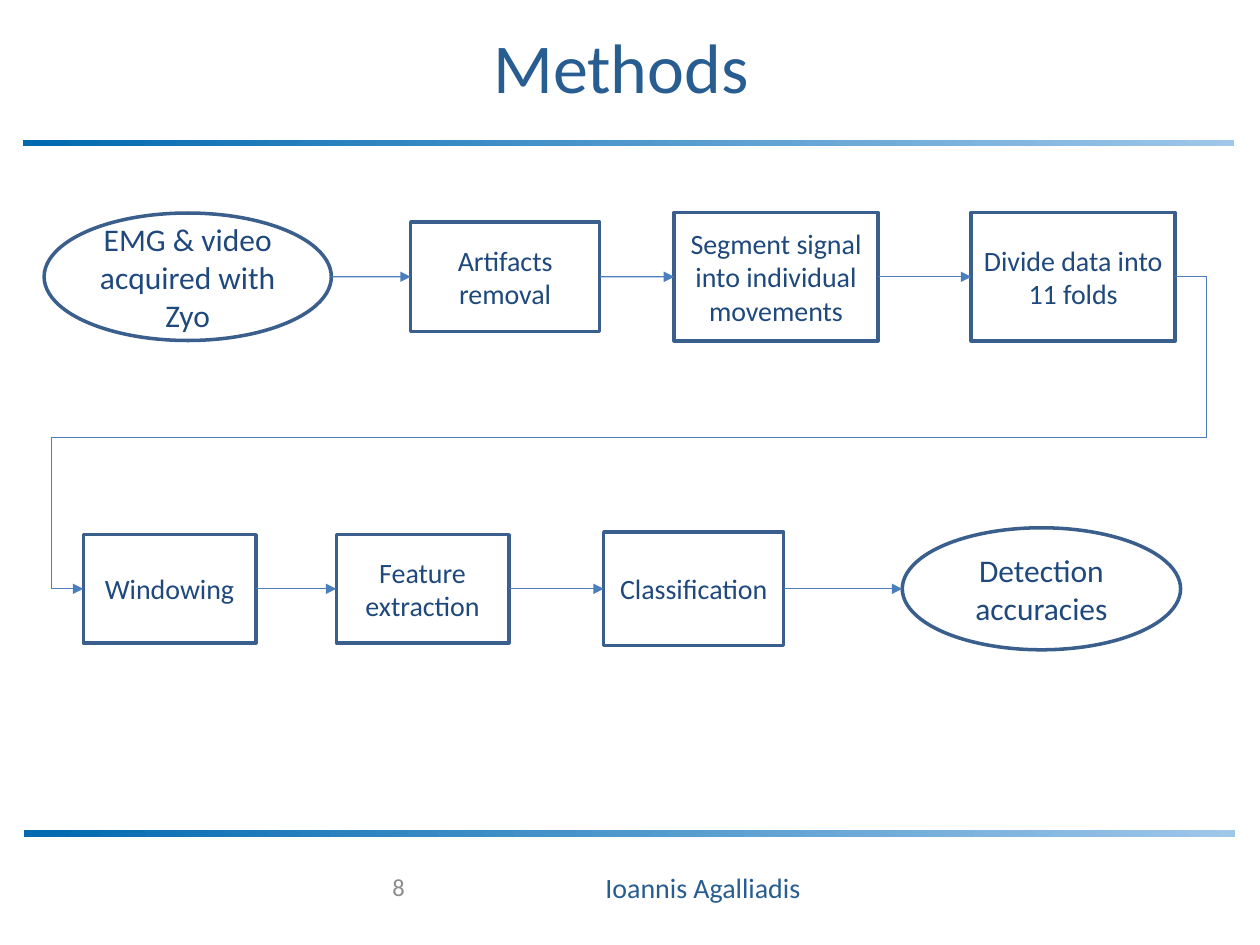
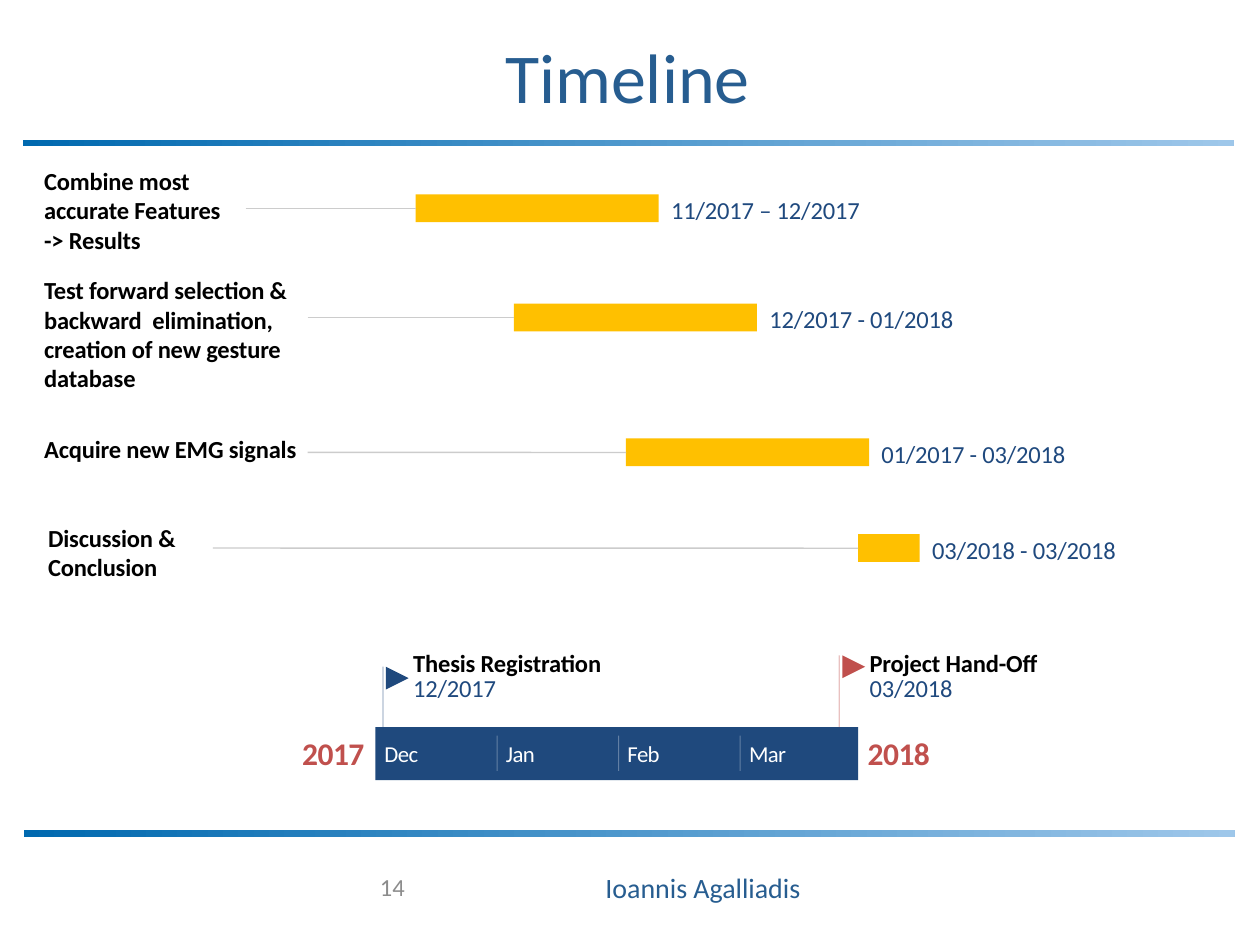
from lxml import etree
from pptx import Presentation
from pptx.dml.color import RGBColor as Rgb
from pptx.enum.shapes import MSO_CONNECTOR as Link, MSO_SHAPE as Kind
from pptx.enum.text import MSO_ANCHOR as Anchor, MSO_AUTO_SIZE as Fit, PP_ALIGN as Align
from pptx.oxml.ns import qn
from pptx.util import Cm, Pt

FONT = "Calibri"
COLORS = {
    "title": "275D90", "number": "8C8C8C", "band_from": "0069AF", "band_to": "9EC7EA",
    "edge": "3A5F8C", "arrow": "4B7EBC", "navy": "1F497D", "date": "1F497E",
    "red": "C0504D", "gold": "FFC000", "wire": "CCCCCC", "white": "FFFFFF", "black": "000000",
}

# left, width, height, size and wording of each step, in cm and points
ROW_ONE = [
    (Kind.OVAL, 0.89, 5.79, 2.57, 18, "EMG & video acquired with Zyo"),
    (Kind.RECTANGLE, 8.28, 3.81, 2.21, 16, "Artifacts removal"),
    (Kind.RECTANGLE, 13.59, 4.11, 2.59, 16, "Segment signal into individual movements"),
    (Kind.RECTANGLE, 19.58, 4.11, 2.59, 16, "Divide data into 11 folds"),
]
ROW_TWO = [
    (Kind.RECTANGLE, 1.68, 3.48, 2.18, 16, "Windowing"),
    (Kind.RECTANGLE, 6.78, 3.48, 2.18, 16, "Feature extraction"),
    (Kind.RECTANGLE, 12.17, 3.63, 2.29, 16, "Classification"),
    (Kind.OVAL, 18.19, 5.61, 2.46, 18, "Detection accuracies"),
]

# label and its box, start of the wire, bar (left, top, width), dates
TASKS = [
    ("Combine most accurate Features -> Results", (0.89, 3.33, 3.86, 1.8),
     4.95, (8.38, 3.92, 4.9), "11/2017 – 12/2017"),
    ("Test forward selection &\nbackward  elimination, creation of new gesture database",
     (0.89, 5.54, 5.11, 2.39), 6.2, (10.36, 6.12, 4.9), "12/2017 - 01/2018"),
    ("Acquire new EMG signals", (0.89, 8.74, 5.72, 0.61),
     6.2, (12.62, 8.84, 4.9), "01/2017 - 03/2018"),
    ("Discussion & Conclusion", (0.97, 10.54, 2.95, 1.19),
     4.29, (17.3, 10.77, 1.24), "03/2018 - 03/2018"),
]
BAR_H, DATE_GAP, LINE_H = 0.56, 0.25, 0.61
STRIP = (7.57, 14.66, 9.73, 1.07)
MONTHS, MONTH_W = ["Dec", "Jan", "Feb", "Mar"], 2.45
YEAR_W = 1.8
FLAGS = [
    (7.72, 13.44, "navy", "Thesis Registration", "12/2017"),
    (16.92, 13.21, "red", "Project Hand-Off", "03/2018"),
]


def paint(name):
    return Rgb.from_string(COLORS[name])


def write(shape, text, size=14, color="black", bold=None, align=Align.LEFT,
          track=None, inset=None, wrap=True, grow=False):
    """Fill a shape with text; track is letter spacing in 1/100 point."""
    frame = shape.text_frame
    frame.text = text
    frame.word_wrap = wrap
    frame.auto_size = Fit.SHAPE_TO_FIT_TEXT if grow else Fit.NONE
    frame.vertical_anchor = Anchor.MIDDLE
    if inset is not None:
        frame.margin_left = frame.margin_right = Cm(inset)
        frame.margin_top = frame.margin_bottom = Cm(inset)
    for para in frame.paragraphs:
        para.alignment = align
        for run in para.runs:
            font = run.font
            font.name, font.size, font.bold = FONT, Pt(size), bold
            font.color.rgb = paint(color)
    if track is not None:
        for props in shape.element.iter(qn("a:rPr")):
            props.set("spc", str(track))


def label(slide, text, box, **fmt):
    write(slide.shapes.add_textbox(*map(Cm, box)), text, **fmt)


def note(slide, text, box, **fmt):
    """Tight label, used all over the timeline."""
    label(slide, text, box, **{"inset": 0, "grow": True, "track": -10, **fmt})


def block(slide, kind, box, fill=None, edge=None):
    shape = slide.shapes.add_shape(kind, *map(Cm, box))
    shape.shadow.inherit = False
    if fill:
        shape.fill.solid()
        shape.fill.fore_color.rgb = paint(fill)
    else:
        shape.fill.background()
    if edge:
        shape.line.color.rgb = paint(edge)
        shape.line.width = Pt(2)
    else:
        shape.line.fill.background()
    return shape


def line(slide, start, end, color, width=0.75, alpha=None, arrow=False, kind=Link.STRAIGHT):
    link = slide.shapes.add_connector(kind, *map(Cm, (*start, *end)))
    link.line.color.rgb = paint(color)
    link.line.width = Pt(width)
    props = link.element.spPr
    stroke = props.find(qn("a:ln"))
    if alpha:
        tint = stroke.find(".//" + qn("a:srgbClr"))
        etree.SubElement(tint, qn("a:alpha")).set("val", str(alpha * 1000))
    if arrow:
        etree.SubElement(stroke, qn("a:tailEnd")).set("type", "triangle")
    etree.SubElement(props, qn("a:effectLst"))
    return link


def band(slide, left, top):
    """Draw a gradient band and hand it to the slide's layout."""
    bar = block(slide, Kind.RECTANGLE, (left, top, 24.41, 0.13))
    bar.fill.gradient()
    bar.fill.gradient_angle = 0
    for stop, name in zip(bar.fill.gradient_stops, ("band_from", "band_to")):
        stop.color.rgb = paint(name)
    slide.slide_layout.shapes.element.append(bar.element)


def new_slide(deck, title, left, top, number):
    slide = deck.slides.add_slide(deck.slide_layouts[5])
    head = slide.shapes.title
    head.left, head.top, head.width, head.height = map(Cm, (left, top, 22.86, 2.39))
    write(head, title, size=40, color="title", align=Align.CENTER)
    label(slide, "Ioannis Agalliadis", (8.66, 17.37, 11.02, 1.02),
          size=16, color="title", align=Align.CENTER)
    label(slide, number, (2.49, 17.37, 5.92, 1.02), color="number", align=Align.RIGHT)
    return slide


def flow_row(slide, steps, mid):
    """Draw steps centred on mid, each joined to the next by an arrow."""
    shapes = []
    for kind, left, width, high, size, text in steps:
        shape = block(slide, kind, (left, mid - high / 2, width, high), edge="edge")
        write(shape, text, size=size, color="navy", align=Align.CENTER)
        shapes.append(shape)
    for i in range(len(steps) - 1):
        right = steps[i][1] + steps[i][2]
        link = line(slide, (right, mid), (steps[i + 1][1], mid), "arrow", arrow=True)
        if steps[i][0] == Kind.RECTANGLE:
            link.begin_connect(shapes[i], 3)
        if steps[i + 1][0] == Kind.RECTANGLE:
            link.end_connect(shapes[i + 1], 1)
    return shapes


def wrap_link(slide, last, first):
    """Lead a five-part elbow from the end of one row to the start of the next."""
    link = line(slide, (23.69, 5.58), (1.68, 11.87), "arrow", arrow=True, kind=Link.ELBOW)
    link.begin_connect(last, 3)
    link.end_connect(first, 1)
    shape = link.element.spPr.find(qn("a:prstGeom"))
    shape.set("prst", "bentConnector5")
    guides = shape.find(qn("a:avLst"))
    if guides is None:
        guides = etree.SubElement(shape, qn("a:avLst"))
    for i, value in enumerate((-2900, 51600, 102900), 1):
        guide = etree.SubElement(guides, qn("a:gd"))
        guide.set("name", f"adj{i}")
        guide.set("fmla", f"val {value}")


def task(slide, text, box, start, span, dates):
    left, top, width = span
    mid = top + BAR_H / 2
    bar = block(slide, Kind.RECTANGLE, (*span, BAR_H), fill="gold")
    line(slide, (start, mid), (left, mid), "wire").end_connect(bar, 1)
    note(slide, text, box, bold=True)
    note(slide, dates, (left + width + DATE_GAP, top, 4.9, LINE_H), color="date")


def calendar(slide):
    left, top, width, high = STRIP
    block(slide, Kind.RECTANGLE, STRIP, fill="navy")
    for i, month in enumerate(MONTHS):
        edge = left + i * MONTH_W
        if i:
            line(slide, (edge, top + 0.17), (edge, top + 0.88), "white", 0.5, alpha=30)
        note(slide, month, (edge + 0.18, top + 0.28, 0.43, 0.51), size=13,
             color="white", track=-30, wrap=False, grow=False)
    for year, mid in (("2017", left - 0.85), ("2018", left + width + 0.82)):
        note(slide, year, (mid - YEAR_W / 2, top + 0.13, YEAR_W, 0.78), size=18,
             color="red", bold=True, align=Align.CENTER, track=-30, grow=False)


def flag(slide, x, top, color, text, date):
    line(slide, (x, top), (x, STRIP[1]), color, alpha=35)
    mark = block(slide, Kind.FLOWCHART_MERGE, (x + 0.06, top, 0.46, 0.46), fill=color)
    mark.rotation = 270
    note(slide, text, (x + 0.61, 13.06, 4.32, LINE_H), bold=True)
    note(slide, date, (x + 0.61, 13.55, 2.57, LINE_H), color="date")


def main():
    deck = Presentation()
    deck.slide_width, deck.slide_height = Cm(25.4), Cm(19.05)

    methods = new_slide(deck, "Methods", 1.09, 0.13, "8")
    band(methods, 0.48, 16.74)
    band(methods, 0.46, 2.82)
    upper = flow_row(methods, ROW_ONE, 5.58)
    lower = flow_row(methods, ROW_TWO, 11.87)
    wrap_link(methods, upper[-1], lower[0])

    plan = new_slide(deck, "Timeline", 1.22, 0.33, "14")
    for item in TASKS:
        task(plan, *item)
    calendar(plan)
    for item in FLAGS:
        flag(plan, *item)

    deck.save("out.pptx")


if __name__ == "__main__":
    main()
